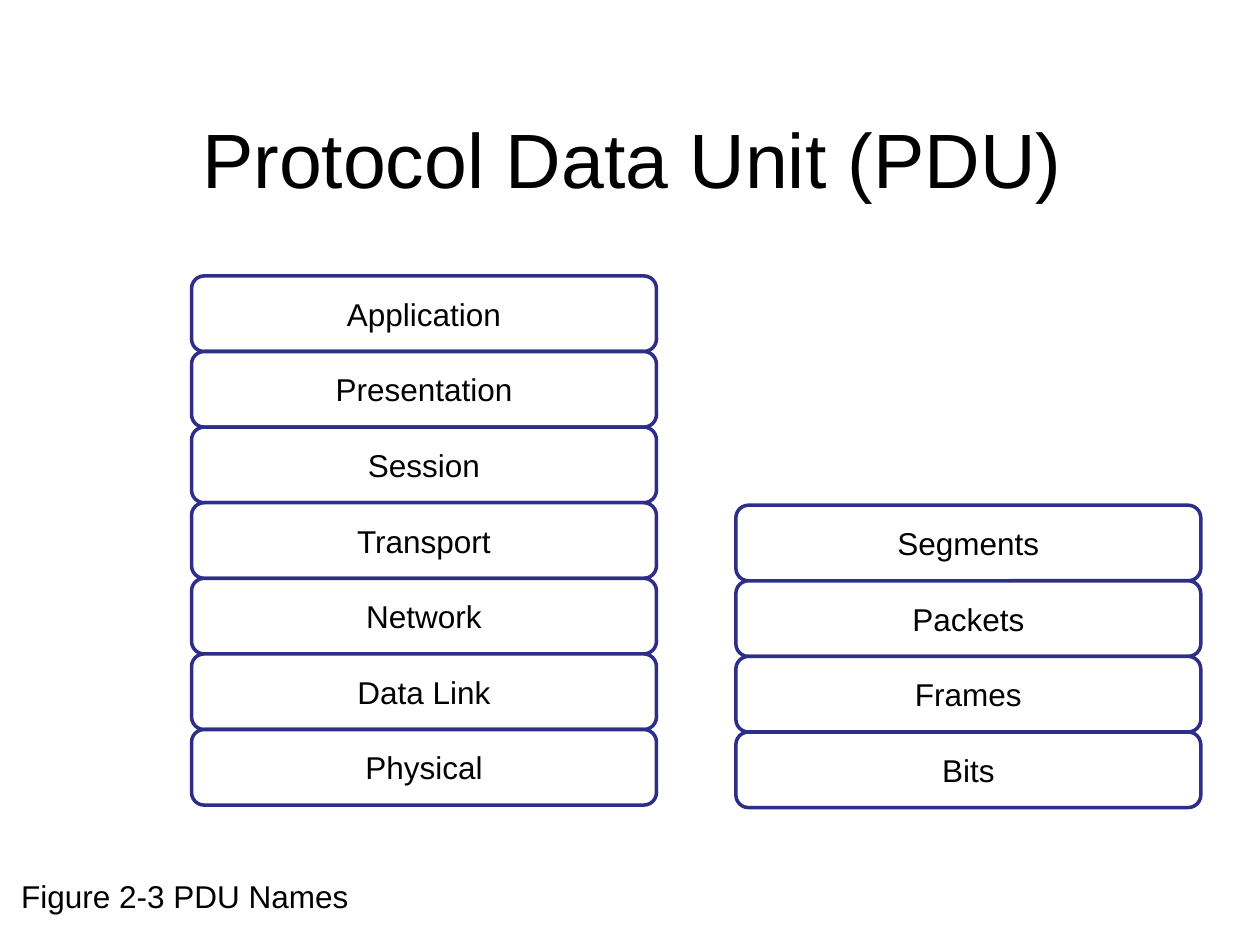
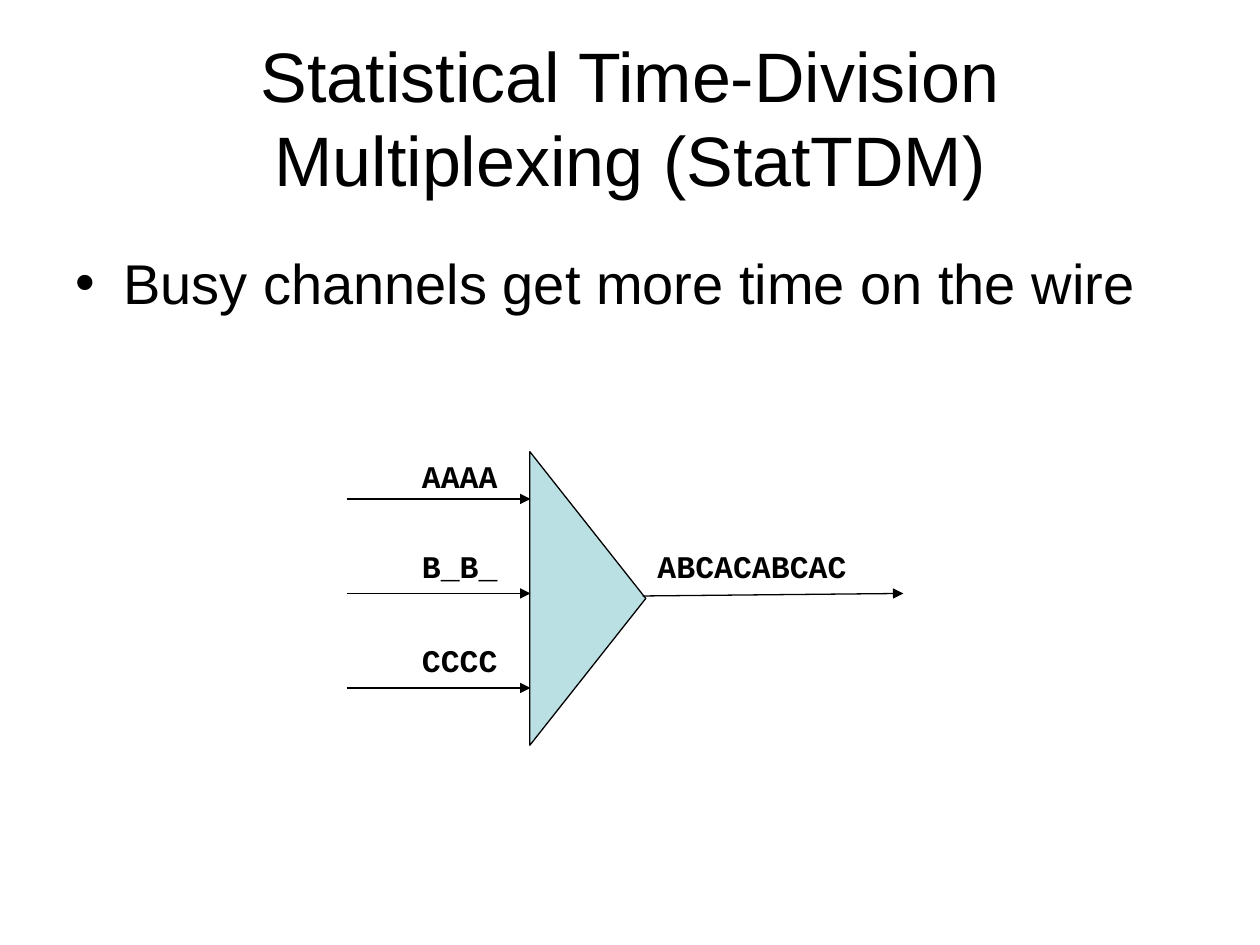
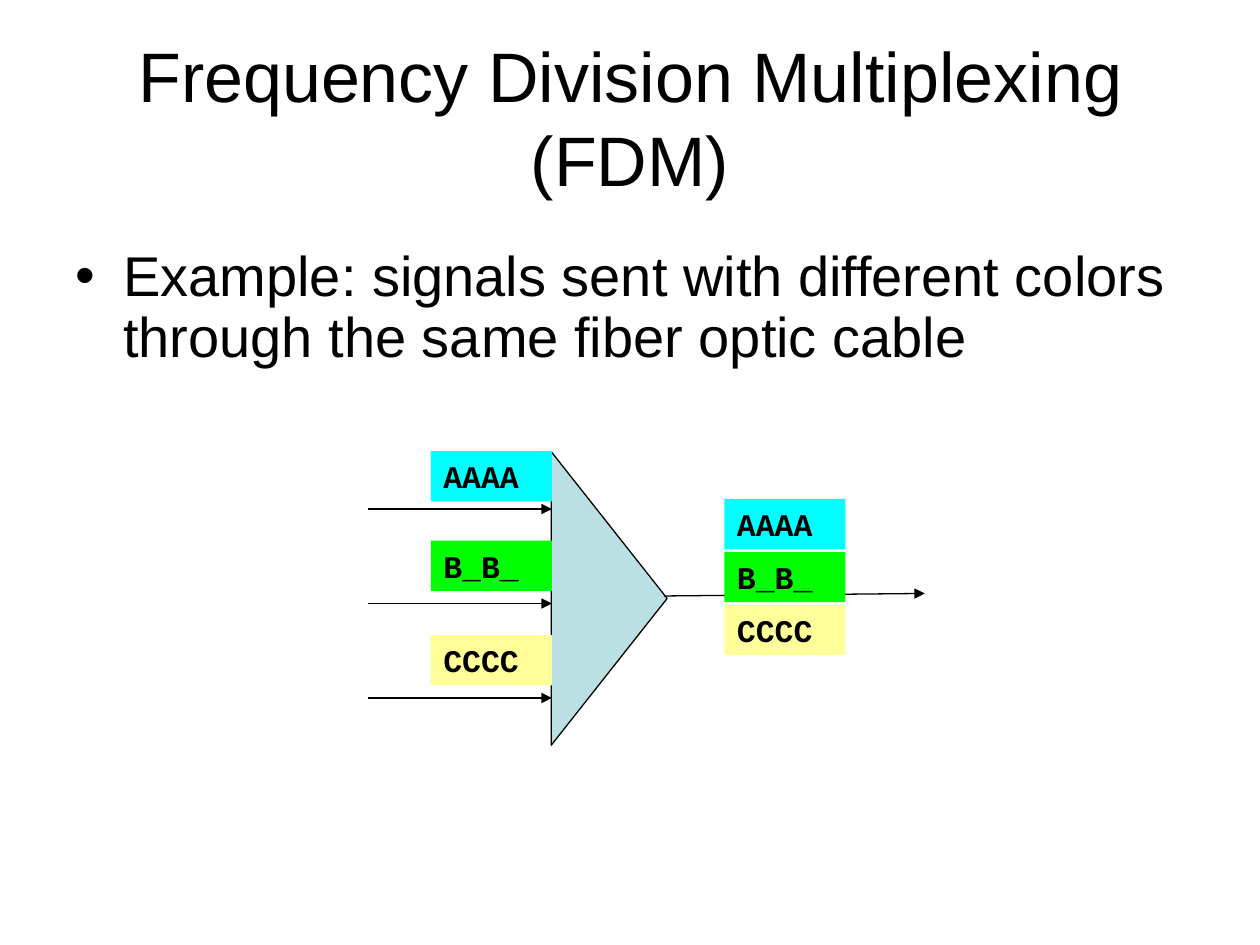
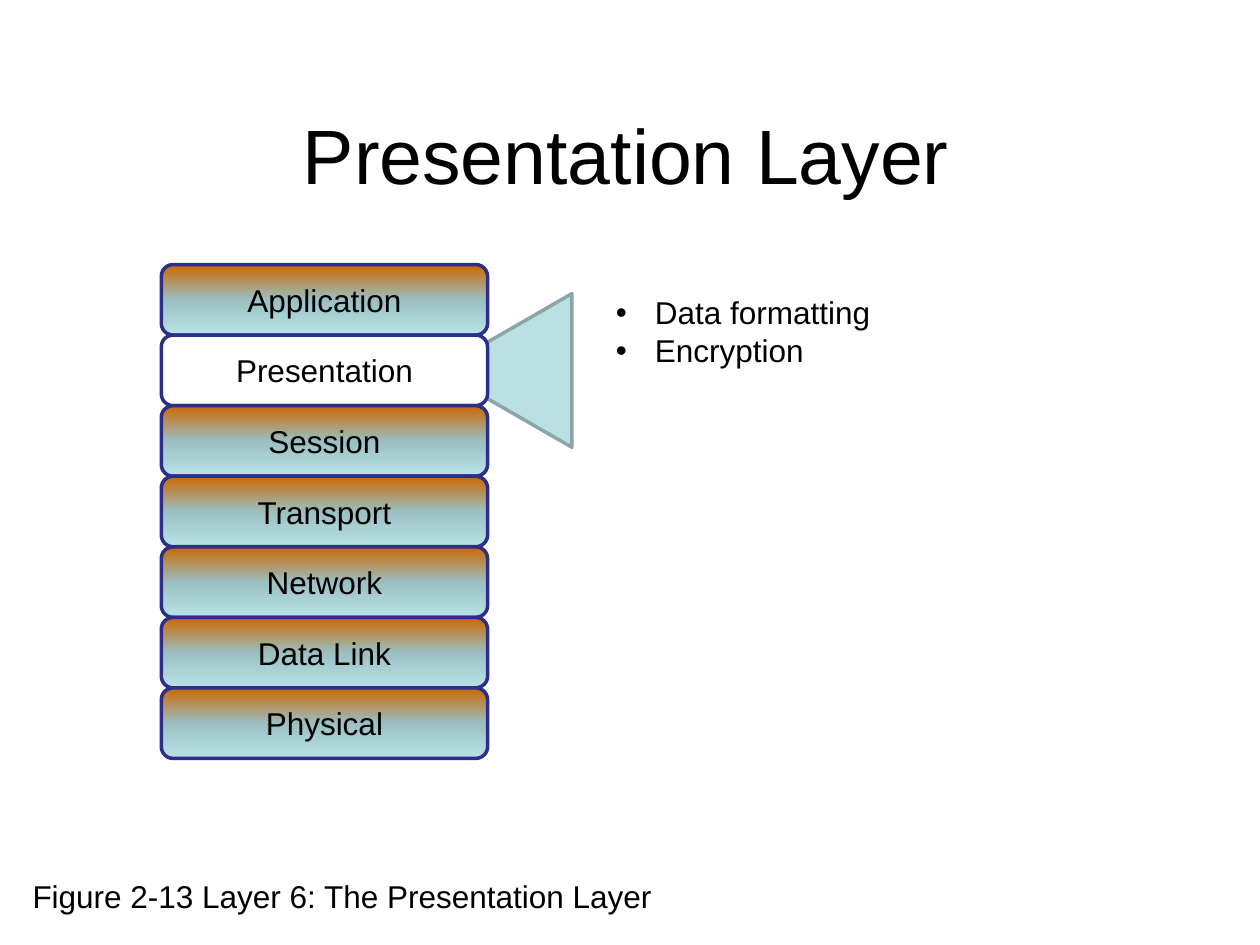
"""Build four slides on network layers, data units and multiplexing."""
from copy import deepcopy

from pptx import Presentation
from pptx.dml.color import RGBColor
from pptx.enum import shapes, text
from pptx.oxml import ns, xmlchemy
from pptx.util import Inches, Pt

COLORS = {
    "text": "000000", "paper": "FFFFFF", "border": "2D2D8A",
    "teal": "BBE0E3", "teal_edge": "8AA6A8",
    "cyan": "00FFFF", "green": "00FF00", "yellow": "FFFF99",
}
LAYER_GRADIENT = [(0, "CA6800"), (0.5, "9BBFC2"), (1, "B8E3E6")]
SANS, MONO = "Arial", "Courier New"
TITLE_ONLY = 5

LAYERS = ["Application", "Presentation", "Session", "Transport",
          "Network", "Data Link", "Physical"]
DATA_UNITS = ["Segments", "Packets", "Frames", "Bits"]
SIGNALS = [("AAAA", "cyan"), ("B_B_", "green"), ("CCCC", "yellow")]
SIGNAL_TOPS = [3.58, 4.29, 5.04]
SIGNAL_SIZE = (0.96, 0.4)
PRESENTATION_TASKS = ["Data formatting", "Encryption"]


def rgb(name):
    return RGBColor.from_string(COLORS[name])


def style_paragraph(paragraph, size=18, font=SANS, bold=False, align=None):
    paragraph.alignment = align
    for run in paragraph.runs:
        run.font.size = Pt(size)
        run.font.name = font
        run.font.bold = bold
        run.font.color.rgb = rgb("text")


def add_bullet(paragraph, indent):
    properties = paragraph._p.get_or_add_pPr()
    properties.set("marL", str(Inches(indent)))
    properties.set("indent", str(-Inches(indent)))
    font = xmlchemy.OxmlElement("a:buFont")
    font.set("typeface", SANS)
    bullet = xmlchemy.OxmlElement("a:buChar")
    bullet.set("char", "•")
    properties.extend([font, bullet])


def add_titled_slide(presentation, title, top, height, size, left=0.5):
    slide = presentation.slides.add_slide(presentation.slide_layouts[TITLE_ONLY])
    shape = slide.shapes.title
    shape.left, shape.top = Inches(left), Inches(top)
    shape.width, shape.height = Inches(9), Inches(height)
    frame = shape.text_frame
    frame.text = title
    frame.auto_size = text.MSO_AUTO_SIZE.NONE
    frame.vertical_anchor = text.MSO_ANCHOR.MIDDLE
    style_paragraph(frame.paragraphs[0], size, align=text.PP_ALIGN.CENTER)
    return slide


def add_text(slide, lines, box, indent=None, spacing=None, grow=True, fill=None, **style):
    shape = slide.shapes.add_textbox(*map(Inches, box))
    if fill:
        shape.fill.solid()
        shape.fill.fore_color.rgb = rgb(fill)
    frame = shape.text_frame
    frame.word_wrap = True
    frame.auto_size = (text.MSO_AUTO_SIZE.SHAPE_TO_FIT_TEXT if grow
                       else text.MSO_AUTO_SIZE.NONE)
    frame.text = "\n".join(lines)
    for paragraph in frame.paragraphs:
        if spacing:
            paragraph.line_spacing = spacing
        if indent:
            add_bullet(paragraph, indent)
        style_paragraph(paragraph, **style)


def add_outlined(slide, kind, box, fill, line, width):
    shape = slide.shapes.add_shape(kind, *map(Inches, box))
    shape.shadow.inherit = False
    shape.fill.solid()
    shape.fill.fore_color.rgb = rgb(fill)
    shape.line.color.rgb = rgb(line)
    shape.line.width = Pt(width)
    return shape


def fill_with_gradient(shape):
    shape.fill.gradient()
    shape.fill.gradient_angle = 270
    stops = shape._element.spPr.find(".//" + ns.qn("a:gsLst"))
    stops.insert(1, deepcopy(stops[0]))
    for stop, (position, color) in zip(shape.fill.gradient_stops, LAYER_GRADIENT):
        stop.position = position
        stop.color.rgb = RGBColor.from_string(color)


def add_stack(slide, names, left, top, width, height, pitch, highlight=None):
    for index, name in enumerate(names):
        box = (left, top + index * pitch, width, height)
        shape = add_outlined(slide, shapes.MSO_SHAPE.ROUNDED_RECTANGLE, box,
                             "paper", "border", 2)
        if highlight and name != highlight:
            fill_with_gradient(shape)
        frame = shape.text_frame
        frame.text = name
        frame.vertical_anchor = text.MSO_ANCHOR.MIDDLE
        style_paragraph(frame.paragraphs[0], align=text.PP_ALIGN.CENTER)


def add_arrow(slide, *ends):
    connector = slide.shapes.add_connector(
        shapes.MSO_CONNECTOR.STRAIGHT, *map(Inches, ends))
    connector.line.color.rgb = rgb("text")
    connector.line.width = Pt(0.75)
    tail = xmlchemy.OxmlElement("a:tailEnd")
    tail.set("type", "triangle")
    connector.line._get_or_add_ln().append(tail)
    connector._element.spPr.append(xmlchemy.OxmlElement("a:effectLst"))


def add_multiplexer(slide, left, first_arrow_top, colored):
    triangle = add_outlined(slide, shapes.MSO_SHAPE.ISOSCELES_TRIANGLE,
                            (left + 0.75, 4.29, 2.33, 0.92), "teal", "text", 0.75)
    triangle.rotation = 90
    for index in range(len(SIGNALS)):
        arrow_top = first_arrow_top + index * 0.75
        add_arrow(slide, left, arrow_top, left + 1.46, arrow_top)
    add_arrow(slide, left + 2.35, 4.73, left + 4.42, 4.71)
    for (signal, color), top in zip(SIGNALS, SIGNAL_TOPS):
        add_signal(slide, signal, left + 0.5, top, color if colored else None)


def add_signal(slide, signal, left, top, fill=None, size=SIGNAL_SIZE):
    add_text(slide, [signal], (left, top, *size), fill=fill, font=MONO, bold=True)


def add_main_point(slide, sentence, spacing=None):
    add_text(slide, [sentence], (0.5, 1.92, 9, 1.08), indent=0.38,
             spacing=spacing, grow=False, size=32)


def build_data_units(presentation):
    slide = add_titled_slide(presentation, "Protocol Data Unit (PDU)", 0.75, 1, 44, left=0.52)
    add_stack(slide, LAYERS, 1.52, 2.19, 3.69, 0.6, 0.6)
    add_stack(slide, DATA_UNITS, 5.84, 4.01, 3.69, 0.6, 0.6)
    add_text(slide, ["Figure 2-3 PDU Names"], (0.07, 6.91, 2.92, 0.4))


def build_time_division(presentation):
    slide = add_titled_slide(
        presentation, "Statistical Time-Division Multiplexing (StatTDM)", 0.3, 1.25, 40)
    add_main_point(slide, "Busy channels get more time on the wire")
    add_multiplexer(slide, 2.75, 3.96, colored=False)
    add_signal(slide, "ABCACABCAC", 5.12, 4.29, size=(2.04, 0.4))


def build_frequency_division(presentation):
    slide = add_titled_slide(
        presentation, "Frequency Division Multiplexing (FDM)", 0.3, 1.25, 40)
    add_main_point(slide, "Example: signals sent with different colors "
                          "through the same fiber optic cable", spacing=0.9)
    add_multiplexer(slide, 2.92, 4.04, colored=True)
    for index, (signal, color) in enumerate(SIGNALS):
        add_signal(slide, signal, 5.75, 3.96 + index * 0.42, color)


def build_presentation_layer(presentation):
    slide = add_titled_slide(presentation, "Presentation Layer", 0.72, 1, 44, left=0.47)
    callout = add_outlined(slide, shapes.MSO_SHAPE.ISOSCELES_TRIANGLE,
                           (3.4, 2.41, 1.22, 1.06), "teal", "teal_edge", 2)
    callout.rotation = 270
    add_stack(slide, LAYERS, 1.28, 2.1, 2.59, 0.56, 0.56, highlight="Presentation")
    add_text(slide, PRESENTATION_TASKS, (4.79, 2.28, 3.24, 0.71), indent=0.31)
    add_text(slide, ["Figure 2-13 Layer 6: The Presentation Layer"],
             (0.16, 6.91, 5.75, 0.4))


def main():
    presentation = Presentation()
    presentation.slide_width, presentation.slide_height = Inches(10), Inches(7.5)
    build_data_units(presentation)
    build_time_division(presentation)
    build_frequency_division(presentation)
    build_presentation_layer(presentation)
    presentation.save("out.pptx")


if __name__ == "__main__":
    main()
